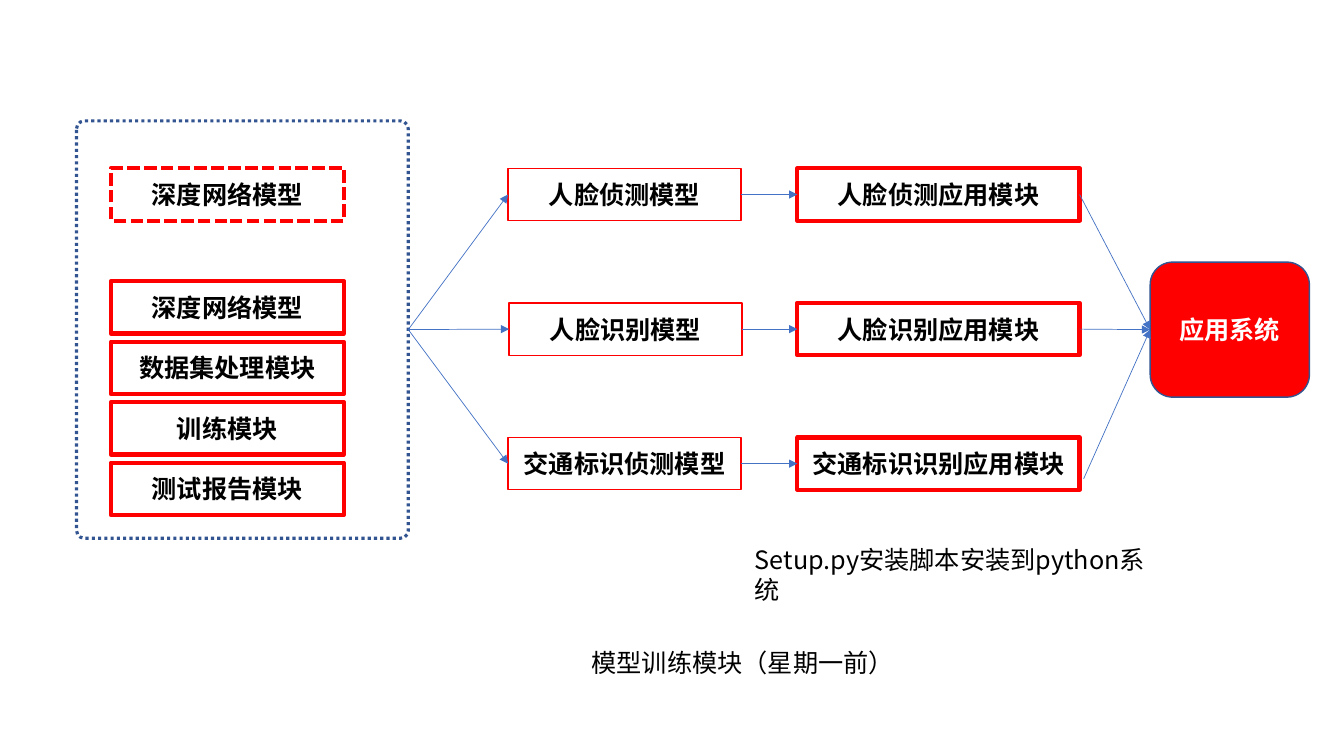
from dataclasses import dataclass
from typing import Optional

from lxml.etree import SubElement
from pptx import Presentation
from pptx.dml.color import RGBColor
from pptx.enum.dml import MSO_LINE
from pptx.enum.shapes import MSO_CONNECTOR, MSO_SHAPE
from pptx.enum.text import MSO_ANCHOR, MSO_AUTO_SIZE, PP_ALIGN
from pptx.oxml.ns import qn
from pptx.util import Inches, Pt

PAGE_WIDTH, PAGE_HEIGHT = Inches(13.333), Inches(7.5)
LEFT_SIDE, RIGHT_SIDE = 1, 3


@dataclass(frozen=True)
class Theme:
    red: RGBColor = RGBColor(0xFF, 0x00, 0x00)
    navy: RGBColor = RGBColor(0x32, 0x54, 0x91)
    blue: RGBColor = RGBColor(0x44, 0x72, 0xC4)
    black: RGBColor = RGBColor(0x00, 0x00, 0x00)
    white: RGBColor = RGBColor(0xFF, 0xFF, 0xFF)
    font: str = "Noto Sans CJK SC"
    text_size: float = 18
    arrow: float = 0.5
    thin: float = 1
    dotted: float = 2.25
    thick: float = 3


THEME = Theme()


@dataclass(frozen=True)
class Area:
    """A rectangle in percent of the slide's width and height."""
    left: float
    top: float
    width: float
    height: float

    def lengths(self) -> tuple:
        return (across(self.left), down(self.top),
                across(self.width), down(self.height))


@dataclass(frozen=True)
class Box:
    area: Area
    text: str = ""
    line_width: float = THEME.thick
    line_color: RGBColor = THEME.red
    dash: Optional[MSO_LINE] = None
    fill: Optional[RGBColor] = None
    text_color: RGBColor = THEME.black
    corner: Optional[float] = None


@dataclass(frozen=True)
class Note:
    area: Area
    text: str


@dataclass(frozen=True)
class Chain:
    """One row from a trained model to the module that applies it."""
    model: str
    module: str
    model_left: float = 37.8


def across(share: float) -> int:
    return round(PAGE_WIDTH * share / 100)


def down(share: float) -> int:
    return round(PAGE_HEIGHT * share / 100)


BOX_WIDTH, BOX_HEIGHT = 17.33, 6.93
PARTS_LEFT = 8.25
FIRST_ROW, ROW_STEP = 22.27, 17.8
FIRST_PART, PART_STEP = 37.2, 8

PANEL = Box(Area(5.7, 16, 24.68, 55.2), line_width=THEME.dotted,
            line_color=THEME.navy, dash=MSO_LINE.ROUND_DOT, corner=0.023)
PLANNED_PART = Box(Area(PARTS_LEFT, FIRST_ROW, BOX_WIDTH, BOX_HEIGHT),
                   "深度网络模型", dash=MSO_LINE.SQUARE_DOT)
SYSTEM = Box(Area(85.58, 34.67, 11.85, 17.87), "应用系统", THEME.thin,
             THEME.navy, fill=THEME.red, text_color=THEME.white, corner=0.167)
PARTS = ["深度网络模型", "数据集处理模块", "训练模块", "测试报告模块"]
CHAINS = [
    Chain("人脸侦测模型", "人脸侦测应用模块"),
    Chain("人脸识别模型", "人脸识别应用模块", model_left=37.88),
    Chain("交通标识侦测模型", "交通标识识别应用模块"),
]
LOOSE_START = (80.63, 63.33)
NOTES = [
    Note(Area(43.28, 84.93, 24.23, 5.33), "模型训练模块（星期一前）"),
    Note(Area(55.43, 71.33, 31.35, 5.33), "Setup.py安装脚本安装到python系统"),
]


def write_text(frame, text: str, color: RGBColor, bold: bool = False) -> None:
    frame.text = text
    for span in frame.paragraphs[0].runs:
        span.font.size = Pt(THEME.text_size)
        span.font.bold = bold
        span.font.color.rgb = color
        span.font.name = THEME.font
        east_asian = SubElement(span.font._element, qn("a:ea"))
        east_asian.set("typeface", THEME.font)


def draw_box(page, box: Box):
    rounded = box.corner is not None
    kind = MSO_SHAPE.ROUNDED_RECTANGLE if rounded else MSO_SHAPE.RECTANGLE
    shape = page.shapes.add_shape(kind, *box.area.lengths())
    shape.shadow.inherit = False
    if rounded:
        shape.adjustments[0] = box.corner
    if box.fill is None:
        shape.fill.background()
    else:
        shape.fill.solid()
        shape.fill.fore_color.rgb = box.fill
    shape.line.color.rgb = box.line_color
    shape.line.width = Pt(box.line_width)
    if box.dash is not None:
        shape.line.dash_style = box.dash
    if box.text:
        frame = shape.text_frame
        write_text(frame, box.text, box.text_color, bold=True)
        frame.vertical_anchor = MSO_ANCHOR.MIDDLE
        frame.paragraphs[0].alignment = PP_ALIGN.CENTER
    return shape


def draw_arrow(page, source, target, loose_start: Optional[tuple] = None) -> None:
    """Join two boxes side to side, or start at a free point instead."""
    x, y = loose_start or (0, 0)
    arrow = page.shapes.add_connector(
        MSO_CONNECTOR.STRAIGHT, across(x), down(y), across(x), down(y))
    if loose_start is None:
        arrow.begin_connect(source, RIGHT_SIDE)
    arrow.end_connect(target, LEFT_SIDE)
    arrow.line.color.rgb = THEME.blue
    arrow.line.width = Pt(THEME.arrow)
    SubElement(arrow.line._get_or_add_ln(), qn("a:tailEnd")).set("type", "triangle")
    SubElement(arrow._element.spPr, qn("a:effectLst"))


def draw_note(page, note: Note) -> None:
    frame = page.shapes.add_textbox(*note.area.lengths()).text_frame
    frame.word_wrap = True
    frame.auto_size = MSO_AUTO_SIZE.SHAPE_TO_FIT_TEXT
    write_text(frame, note.text, THEME.black)


def main() -> None:
    deck = Presentation()
    deck.slide_width, deck.slide_height = PAGE_WIDTH, PAGE_HEIGHT
    page = deck.slides.add_slide(deck.slide_layouts[6])

    panel = draw_box(page, PANEL)
    draw_box(page, PLANNED_PART)
    for index, part in enumerate(PARTS):
        top = FIRST_PART + index * PART_STEP
        draw_box(page, Box(Area(PARTS_LEFT, top, BOX_WIDTH, BOX_HEIGHT), part))

    system = draw_box(page, SYSTEM)
    for index, chain in enumerate(CHAINS):
        top = FIRST_ROW + index * ROW_STEP
        model = draw_box(page, Box(Area(chain.model_left, top, BOX_WIDTH, BOX_HEIGHT),
                                   chain.model, THEME.thin))
        module = draw_box(page, Box(Area(59.33, top, 21, BOX_HEIGHT), chain.module))
        draw_arrow(page, panel, model)
        draw_arrow(page, model, module)
        is_last = index == len(CHAINS) - 1
        draw_arrow(page, module, system, LOOSE_START if is_last else None)

    for note in NOTES:
        draw_note(page, note)
    deck.save("out.pptx")


if __name__ == "__main__":
    main()
